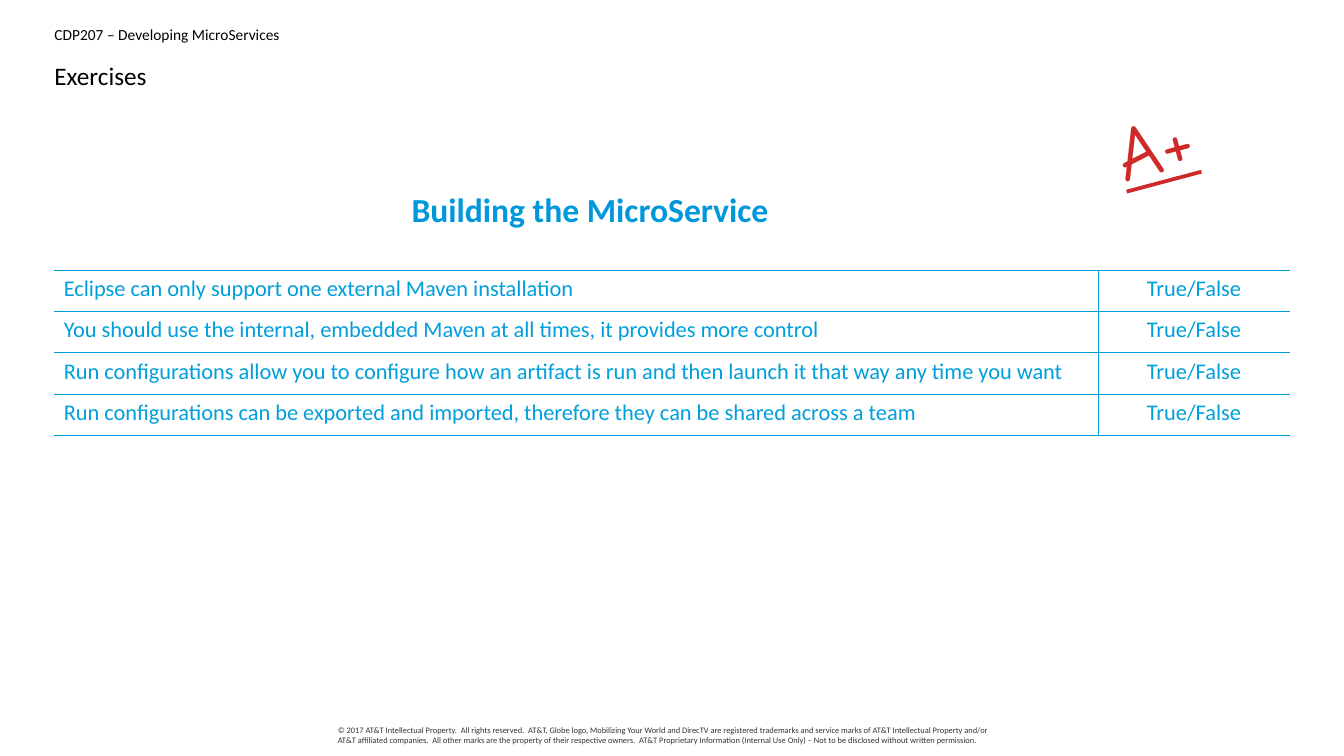
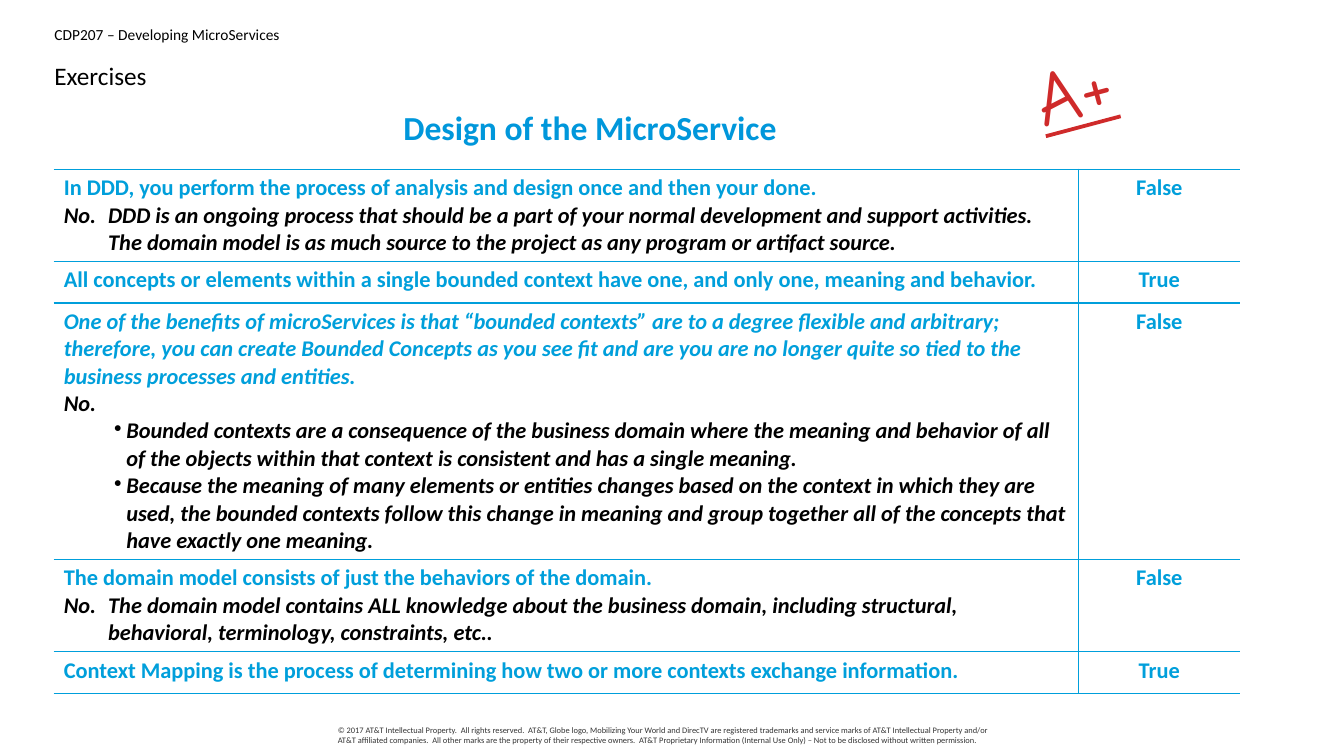
from lxml import etree
from pptx import Presentation
from pptx.dml.color import RGBColor
from pptx.enum.text import MSO_ANCHOR, PP_ALIGN
from pptx.oxml.ns import qn
from pptx.util import Inches, Pt

LEFT, CENTER, TOP = PP_ALIGN.LEFT, PP_ALIGN.CENTER, MSO_ANCHOR.TOP
WIDTH, HEIGHT = Inches(13.33), Inches(7.5)
BLUE, SECTION_BLUE, RED = "009FDB", "0097DB", "CF2A2A"
BLACK, GREY = "000000", "343434"
NO_TABLE_STYLE = "{2D5ABB26-0587-4C30-8999-92F81FD0307C}"
SIDE_MARGIN, CONTENT_WIDTH, ROW_HEIGHT = 4.05, 91.97, 5.47

COURSE = "CDP207 – Developing MicroServices"
COPYRIGHT = (
    "© 2017 AT&T Intellectual Property.  All rights reserved.  AT&T, Globe logo, "
    "Mobilizing Your World and DirecTV are registered trademarks and service marks of "
    "AT&T Intellectual Property and/or AT&T affiliated companies.  All other marks are "
    "the property of their respective owners.  AT&T Proprietary Information (Internal "
    "Use Only) – Not to be disclosed without written permission."
)

LINE_STYLES = {
    "plain": dict(color=BLUE),
    "question": dict(color=BLUE, bold=True),
    "stressed": dict(color=BLUE, bold=True, italic=True),
    "answer": dict(bold=True, italic=True, indent=0.44, hanging=0.44),
    "bullet": dict(bold=True, italic=True, indent=0.62, hanging=0.12, bullet="•"),
}

EXERCISES = [
    dict(
        section="Building the MicroService", section_top=24.27,
        grade_left=82.9, grade_top=12.13,
        table_top=35.73, columns=(77.72, 14.25), verdict_style="plain",
        rows=[
            ([("plain", "Eclipse can only support one external Maven installation")],
             "True/False"),
            ([("plain", "You should use the internal, embedded Maven at all times, it "
               "provides more control")], "True/False"),
            ([("plain", "Run configurations allow you to configure how an artifact is run "
               "and then launch it that way any time you want")], "True/False"),
            ([("plain", "Run configurations can be exported and imported, therefore they "
               "can be shared across a team")], "True/False"),
        ],
    ),
    dict(
        section="Design of the MicroService", section_top=13.47,
        grade_left=76.89, grade_top=4.8,
        table_top=22.4, columns=(76.22, 12.08), verdict_style="question",
        rows=[
            ([("question", "In DDD, you perform the process of analysis and design once "
               "and then your done."),
              ("answer", "No.\tDDD is an ongoing process that should be a part of your "
               "normal development and support activities. The domain model is as much "
               "source to the project as any program or artifact source.")], "False"),
            ([("question", "All concepts or elements within a single bounded context have "
               "one, and only one, meaning and behavior.")], "True"),
            ([("stressed", "One of the benefits of microServices is that “bounded "
               "contexts” are to a degree flexible and arbitrary; therefore, you can "
               "create Bounded Concepts as you see fit and are you are no longer quite so "
               "tied to the business processes and entities."),
              ("answer", "No."),
              ("bullet", "Bounded contexts are a consequence of the business domain where "
               "the meaning and behavior of all of the objects within that context is "
               "consistent and has a single meaning."),
              ("bullet", "Because the meaning of many elements or entities changes based "
               "on the context in which they are used, the bounded contexts follow this "
               "change in meaning and group together all of the concepts that have "
               "exactly one meaning.")], "False"),
            ([("question", "The domain model consists of just the behaviors of the "
               "domain."),
              ("answer", "No.\tThe domain model contains ALL knowledge about the business "
               "domain, including structural, behavioral, terminology, constraints, "
               "etc..")], "False"),
            ([("question", "Context Mapping is the process of determining how two or more "
               "contexts exchange information.")], "True"),
        ],
    ),
]


def area(left, top, width, height):
    """Turn percentages of the slide's size into lengths."""
    return (round(WIDTH * left / 100), round(HEIGHT * top / 100),
            round(WIDTH * width / 100), round(HEIGHT * height / 100))


def write(frame, text, size=16, color=BLACK, font="Calibri", bold=False, italic=False,
          underline=False, align=LEFT, indent=0, hanging=0, bullet=None, margin=None,
          wrap=True):
    """Fill the frame's first paragraph, or add one when that is taken."""
    paragraph = frame.paragraphs[0]
    if paragraph.runs:
        paragraph = frame.add_paragraph()
    frame.word_wrap = wrap
    if margin is not None:
        frame.margin_left = frame.margin_right = margin
        frame.margin_top = frame.margin_bottom = margin
    if indent:
        properties = paragraph._p.get_or_add_pPr()
        properties.set("marL", str(Inches(indent)))
        properties.set("indent", str(-Inches(hanging)))
        if bullet:
            etree.SubElement(properties, qn("a:buChar"), char=bullet)
    paragraph.alignment = align
    run = paragraph.add_run()
    run.text = text
    run.font.name, run.font.size = font, Pt(size)
    run.font.bold, run.font.italic, run.font.underline = bold, italic, underline
    run.font.color.rgb = RGBColor.from_string(color)
    return paragraph


presentation = Presentation()
presentation.slide_width, presentation.slide_height = WIDTH, HEIGHT
layout = presentation.slide_layouts.get_by_name("Title Only")
layout_title = layout.placeholders[0]
(layout_title.left, layout_title.top, layout_title.width,
 layout_title.height) = area(SIDE_MARGIN, 7.6, CONTENT_WIDTH, 4.93)
slides = [presentation.slides.add_slide(layout) for exercise in EXERCISES]

# Course name and copyright line live on the layout
for text, size, color, place in (
    (COURSE, 11, BLACK, area(SIDE_MARGIN, 3.33, CONTENT_WIDTH, 2.67)),
    (COPYRIGHT, 6, GREY, area(25.13, 95.87, 49.81, 3.2)),
):
    box = slides[0].shapes.add_textbox(*place)
    write(box.text_frame, text, size=size, color=color, margin=0)
    layout.shapes.element.append(box.element)

for slide, exercise in zip(slides, EXERCISES):
    title = slide.shapes.title.text_frame
    title.vertical_anchor = TOP
    paragraph = write(title, "Exercises", size=18, margin=0)
    paragraph.line_spacing, paragraph.space_after = 1.1, Pt(10)

    rows, columns = exercise["rows"], exercise["columns"]
    frame = slide.shapes.add_table(len(rows), len(columns), *area(
        4, exercise["table_top"], sum(columns), ROW_HEIGHT * len(rows)))
    table = frame.table
    table.first_row = table.horz_banding = False
    table._tbl.tblPr.find(qn("a:tableStyleId")).text = NO_TABLE_STYLE
    for column, share in zip(table.columns, columns):
        column.width = round(WIDTH * share / 100)
    for row, (lines, verdict) in zip(table.rows, rows):
        statement_cell, verdict_cell = row.cells
        for style, text in lines:
            write(statement_cell.text_frame, text, **LINE_STYLES[style])
        write(verdict_cell.text_frame, verdict, align=CENTER,
              **LINE_STYLES[exercise["verdict_style"]])
        for cell, sides in ((statement_cell, "TB"), (verdict_cell, "LTB")):
            properties = cell._tc.get_or_add_tcPr()
            for side in sides:
                border = etree.SubElement(properties, qn(f"a:ln{side}"), w=str(Pt(1)))
                fill = etree.SubElement(border, qn("a:solidFill"))
                etree.SubElement(fill, qn("a:srgbClr"), val=BLUE)
            cell.fill.background()

    section = slide.shapes.add_textbox(*area(28.7, exercise["section_top"], 30.4, 6.67))
    write(section.text_frame, exercise["section"], size=24, color=SECTION_BLUE, bold=True,
          align=CENTER, wrap=False)

    grade = slide.shapes.add_textbox(*area(
        exercise["grade_left"], exercise["grade_top"], 9.45, 11.87))
    grade.rotation = 345.1
    write(grade.text_frame, "A+", size=54, color=RED, font="Comic Neue", underline=True,
          margin=0)

presentation.save("out.pptx")
